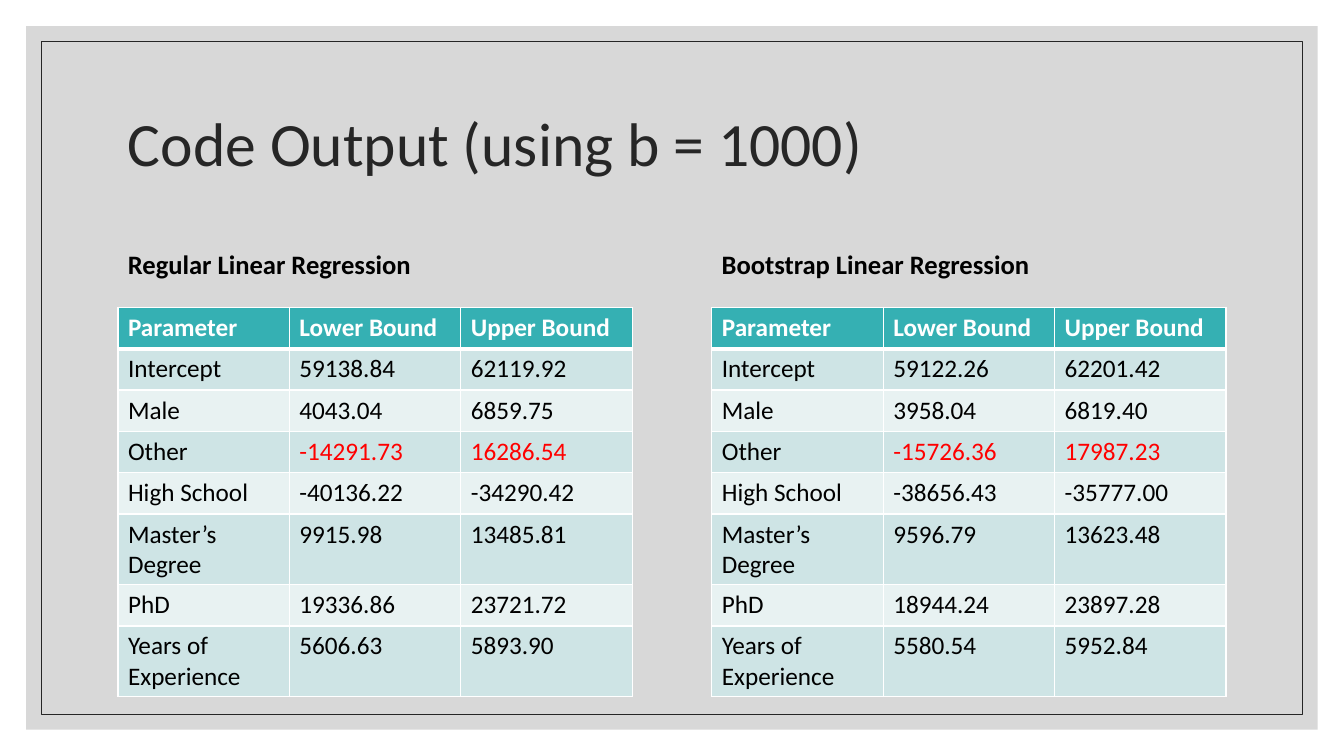
from lxml import etree
from pptx import Presentation
from pptx.dml.color import RGBColor
from pptx.enum.shapes import MSO_SHAPE
from pptx.enum.text import MSO_ANCHOR
from pptx.oxml.ns import qn
from pptx.util import Inches, Pt

RECT = MSO_SHAPE.RECTANGLE
MIDDLE = MSO_ANCHOR.MIDDLE

WHITE = RGBColor(0xFF, 0xFF, 0xFF)
BLACK = RGBColor(0x00, 0x00, 0x00)
INK = RGBColor(0x26, 0x26, 0x26)
GRAY = RGBColor(0xBF, 0xBF, 0xBF)
RED = RGBColor(0xFF, 0x00, 0x00)
TEAL = RGBColor(0x35, 0xB0, 0xB3)
BANDS = (RGBColor(0xE8, 0xF2, 0xF2), RGBColor(0xCE, 0xE4, 0xE5))

FONT = "Calibri"
SLIDE_W, SLIDE_H = 13.33, 7.5
LEFT, PITCH = 1.17, 5.89  # first panel's left edge, step to the next panel
COL_W, ROW_H = 1.7, 0.41
PANEL_W = 3 * COL_W
TITLE_Y, HEADING_Y, TABLE_Y = 0.7, 2.27, 3.05

HEADER = ("Parameter", "Lower Bound", "Upper Bound")
PARAMETERS = ("Intercept", "Male", "Other", "High School",
              "Master’s Degree", "PhD", "Years of Experience")
PANELS = (
    ("Regular Linear Regression",
     (("59138.84", "62119.92"), ("4043.04", "6859.75"),
      ("-14291.73", "16286.54"), ("-40136.22", "-34290.42"),
      ("9915.98", "13485.81"), ("19336.86", "23721.72"),
      ("5606.63", "5893.90"))),
    ("Bootstrap Linear Regression",
     (("59122.26", "62201.42"), ("3958.04", "6819.40"),
      ("-15726.36", "17987.23"), ("-38656.43", "-35777.00"),
      ("9596.79", "13623.48"), ("18944.24", "23897.28"),
      ("5580.54", "5952.84"))),
)


def add_frame(s, inset):
    """Add a rectangle set in evenly from the slide's edges."""
    sp = s.shapes.add_shape(RECT, Inches(inset), Inches(inset),
                            Inches(SLIDE_W - 2 * inset),
                            Inches(SLIDE_H - 2 * inset))
    sp.shadow.inherit = False
    return sp


def add_backdrop(s):
    panel = add_frame(s, 0.26)
    panel.fill.solid()
    panel.fill.fore_color.rgb = GRAY
    panel.line.fill.background()
    color = panel.fill._xPr.find(qn("a:solidFill"))[0]
    etree.SubElement(color, qn("a:alpha"), val="60000")

    outline = add_frame(s, 0.41)
    outline.fill.background()
    outline.line.color.rgb = INK
    outline.line.width = Pt(0.5)


def set_text(tf, text, size, color, bold=False):
    p = tf.paragraphs[0]
    p.text = text
    p.font.name = FONT
    p.font.size = Pt(size)
    p.font.bold = bold
    p.font.color.rgb = color
    return p


def add_text(s, x, y, w, h, text, size, color, bold=False):
    tf = s.shapes.add_textbox(Inches(x), Inches(y), Inches(w), Inches(h)).text_frame
    tf.word_wrap = True
    tf.vertical_anchor = MIDDLE
    return set_text(tf, text, size, color, bold)


def set_borders(cell, top, bottom):
    tc_pr = cell._tc.get_or_add_tcPr()
    for side, width in (("L", 1), ("R", 1), ("T", top), ("B", bottom)):
        ln = etree.SubElement(tc_pr, qn(f"a:ln{side}"), w=str(Pt(width)))
        fill = etree.SubElement(ln, qn("a:solidFill"))
        etree.SubElement(fill, qn("a:srgbClr"), val=str(WHITE))


def style_cell(cell, text, row, color):
    is_header = row == 0
    set_borders(cell, 3 if row == 1 else 1, 3 if is_header else 1)
    cell.fill.solid()
    cell.fill.fore_color.rgb = TEAL if is_header else BANDS[row % 2]
    set_text(cell.text_frame, text, 18, color, is_header)


def add_bounds_table(s, x, bounds):
    """Add the interval table; bounds on either side of zero turn red."""
    rows = len(bounds) + 1
    table = s.shapes.add_table(rows, len(HEADER), Inches(x), Inches(TABLE_Y),
                               Inches(PANEL_W), Inches(rows * ROW_H)).table
    for c, text in enumerate(HEADER):
        style_cell(table.cell(0, c), text, 0, WHITE)
    for r, (name, (low, high)) in enumerate(zip(PARAMETERS, bounds), 1):
        color = RED if float(low) < 0 < float(high) else BLACK
        style_cell(table.cell(r, 0), name, r, BLACK)
        style_cell(table.cell(r, 1), low, r, color)
        style_cell(table.cell(r, 2), high, r, color)


def main():
    prs = Presentation()
    prs.slide_width, prs.slide_height = Inches(SLIDE_W), Inches(SLIDE_H)
    s = prs.slides.add_slide(prs.slide_layouts[6])
    add_backdrop(s)
    title = add_text(s, LEFT, TITLE_Y, SLIDE_W - 2 * LEFT, 1.5,
                     "Code Output (using b = 1000)", 44, INK)
    title.line_spacing = 0.9
    for i, (heading, bounds) in enumerate(PANELS):
        x = LEFT + i * PITCH
        add_text(s, x, HEADING_Y, PANEL_W, 0.7, heading, 19, BLACK, True)
        add_bounds_table(s, x, bounds)
    prs.save("out.pptx")


if __name__ == "__main__":
    main()
